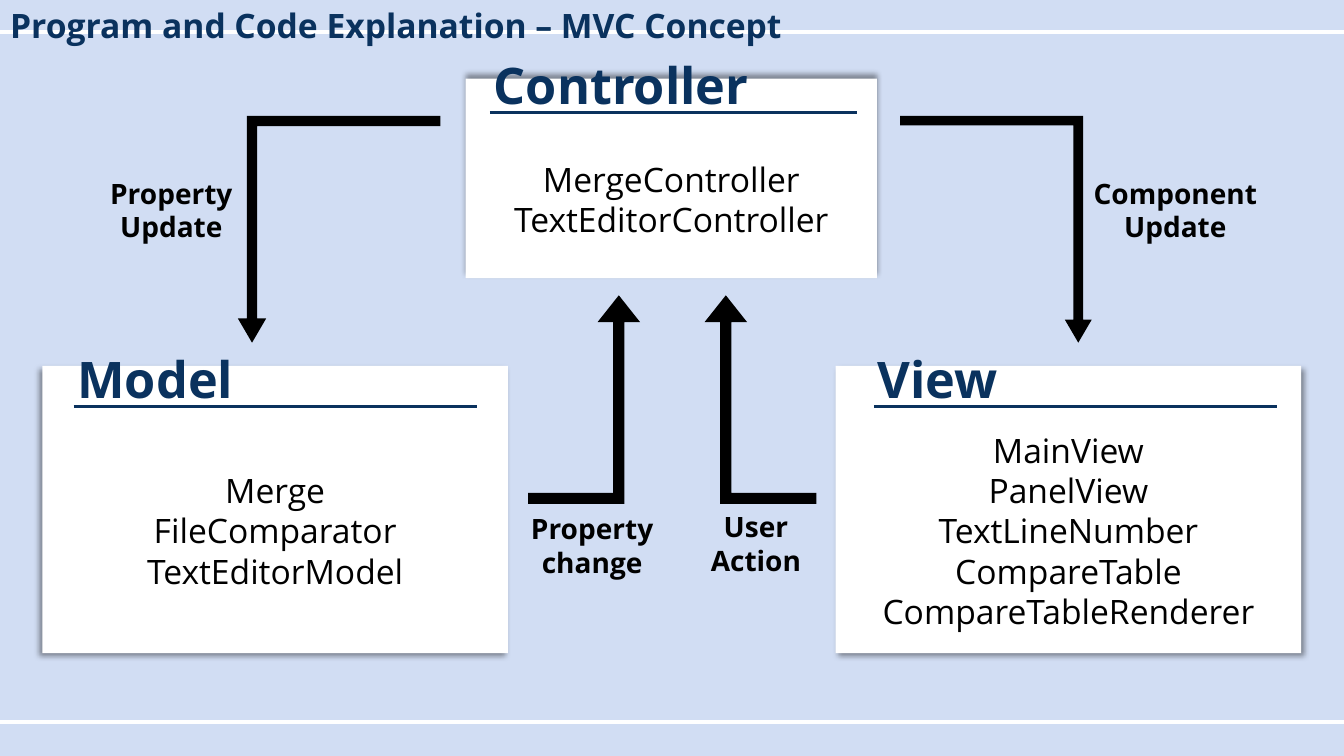
from lxml.etree import SubElement
from pptx import Presentation
from pptx.dml.color import RGBColor
from pptx.enum.shapes import MSO_CONNECTOR, MSO_SHAPE
from pptx.enum.text import MSO_ANCHOR, MSO_AUTO_SIZE, PP_ALIGN
from pptx.oxml.ns import qn
from pptx.util import Inches, Pt

COLORS = {"back": "D1DDF3", "navy": "0A325E", "white": "FFFFFF", "black": "000000"}
COLS, ROWS = 160, 90


class Deck:
    """Holds the style and the current slide; lengths are grid columns and rows."""

    def __init__(self):
        self.prs = Presentation()
        self.prs.slide_width, self.prs.slide_height = Inches(13.33), Inches(7.5)
        self.slide = self.prs.slides.add_slide(self.prs.slide_layouts[5])
        self.shapes = self.slide.shapes
        self.paint(self.slide.background.fill, "back")

    def color(self, name):
        return RGBColor.from_string(COLORS[name])

    def paint(self, fill, name):
        fill.solid()
        fill.fore_color.rgb = self.color(name)

    def cells(self, left, top, width, height):
        col, row = self.prs.slide_width / COLS, self.prs.slide_height / ROWS
        return int(left * col), int(top * row), int(width * col), int(height * row)

    def letter(self, frame, lines, size, color, bold=False, align=PP_ALIGN.LEFT):
        frame.word_wrap = True
        frame.text = "\n".join(lines)
        for para in frame.paragraphs:
            para.alignment = align
            font = para.font
            font.name, font.size, font.bold = "Open Sans", Pt(size), bold
            font.color.rgb = self.color(color)

    def title(self, text, box):
        head = self.shapes.title
        self.shapes.element.append(head.element)  # in front of the stripes
        head.left, head.top, head.width, head.height = self.cells(*box)
        frame = head.text_frame
        self.letter(frame, [text], 24, "navy", True)
        frame.auto_size = MSO_AUTO_SIZE.NONE
        frame.vertical_anchor = MSO_ANCHOR.TOP

    def text(self, lines, box, size, color, align=PP_ALIGN.LEFT):
        area = self.shapes.add_textbox(*self.cells(*box))
        self.letter(area.text_frame, lines, size, color, True, align)

    def line(self, left, top, width, color, weight):
        x, y, span, _ = self.cells(left, top, width, 0)
        rule = self.shapes.add_connector(MSO_CONNECTOR.STRAIGHT, x, y, x + span, y)
        rule.line.color.rgb = self.color(color)
        rule.line.width = Pt(weight)
        SubElement(rule.element.spPr, qn("a:effectLst"))

    def block(self, kind, box, color):
        part = self.shapes.add_shape(kind, *self.cells(*box))
        part.shadow.inherit = False
        self.paint(part.fill, color)
        part.line.fill.background()
        return part

    def shade(self, part, angle):
        glow = SubElement(part.element.spPr.find(qn("a:effectLst")), qn("a:outerShdw"),
                          blurRad=str(Pt(4)), dist=str(Pt(3)),
                          dir=str(angle * 60000), rotWithShape="0")
        tint = SubElement(glow, qn("a:srgbClr"), val=COLORS["black"])
        SubElement(tint, qn("a:alpha"), val="40000")

    def card(self, name, items, box, head, span, angle):
        part = self.block(MSO_SHAPE.RECTANGLE, box, "white")
        self.shade(part, angle)
        frame = part.text_frame
        frame.margin_top = Inches(0.46)  # keeps the list below the heading
        frame.vertical_anchor = MSO_ANCHOR.MIDDLE
        self.letter(frame, items, 24, "black", align=PP_ALIGN.CENTER)
        left, top = head
        self.text([name], (left, top, span, 8.52), 36, "navy")
        self.line(left + 0.72, top + 7.56, span, "navy", 2.25)

    def arrow(self, box, flips, bends, words, spot):
        part = self.block(MSO_SHAPE.BENT_UP_ARROW, box, "black")
        for num, bend in enumerate(bends):
            part.adjustments[num] = bend
        frame = part.element.spPr.find(qn("a:xfrm"))
        for flip in flips:
            frame.set("flip" + flip, "1")
        self.text(words, (*spot, 9.24), 20, "black", PP_ALIGN.CENTER)


def main():
    deck = Deck()

    # Stripes and title
    for row in (3.84, 85.92):
        deck.line(0, row, COLS, "white", 3)
    deck.title("Program and Code Explanation – MVC Concept", (0, 0, 111.72, 6))

    # Cards: name, classes, box, heading corner, rule length, shadow angle
    low, wide, tall = 43.56, 55.44, 34.2
    cards = [
        ("Model", ["Merge", "FileComparator", "TextEditorModel"],
         (5.04, low, wide, tall), (8.04, 40.8), 48, 135),
        ("View", ["MainView", "PanelView", "TextLineNumber", "CompareTable",
                  "CompareTableRenderer"],
         (99.48, low, wide, tall), (103.32, 40.8), 48, 45),
        ("Controller", ["MergeController", "TextEditorController"],
         (55.44, 9.36, 48.96, 23.76), (57.6, 5.88), 43.68, 270),
    ]
    for card in cards:
        deck.card(*card)

    # Arrows: box, flips, bends, label, label place and width
    thick, thin = (0.1, 0.19, 0.24), (0.05, 0.07, 0.12)
    arrows = [
        ((62.88, 35.16, 13.32, 24.84), "", thick,
         ["Property", "change"], (60.96, 60.36, 19.08)),
        ((83.88, 35.16, 13.32, 24.84), "H", thick,
         ["User", "Action"], (82.32, 60.12, 15.36)),
        ((28.32, 13.8, 24.12, 27), "HV", thin,
         ["Property", "Update"], (10.8, 20.4, 19.2)),
        ((107.16, 13.8, 22.8, 27), "V", thin,
         ["Component", "Update"], (127.44, 20.4, 24.96)),
    ]
    for arrow in arrows:
        deck.arrow(*arrow)

    deck.prs.save("out.pptx")


if __name__ == "__main__":
    main()
